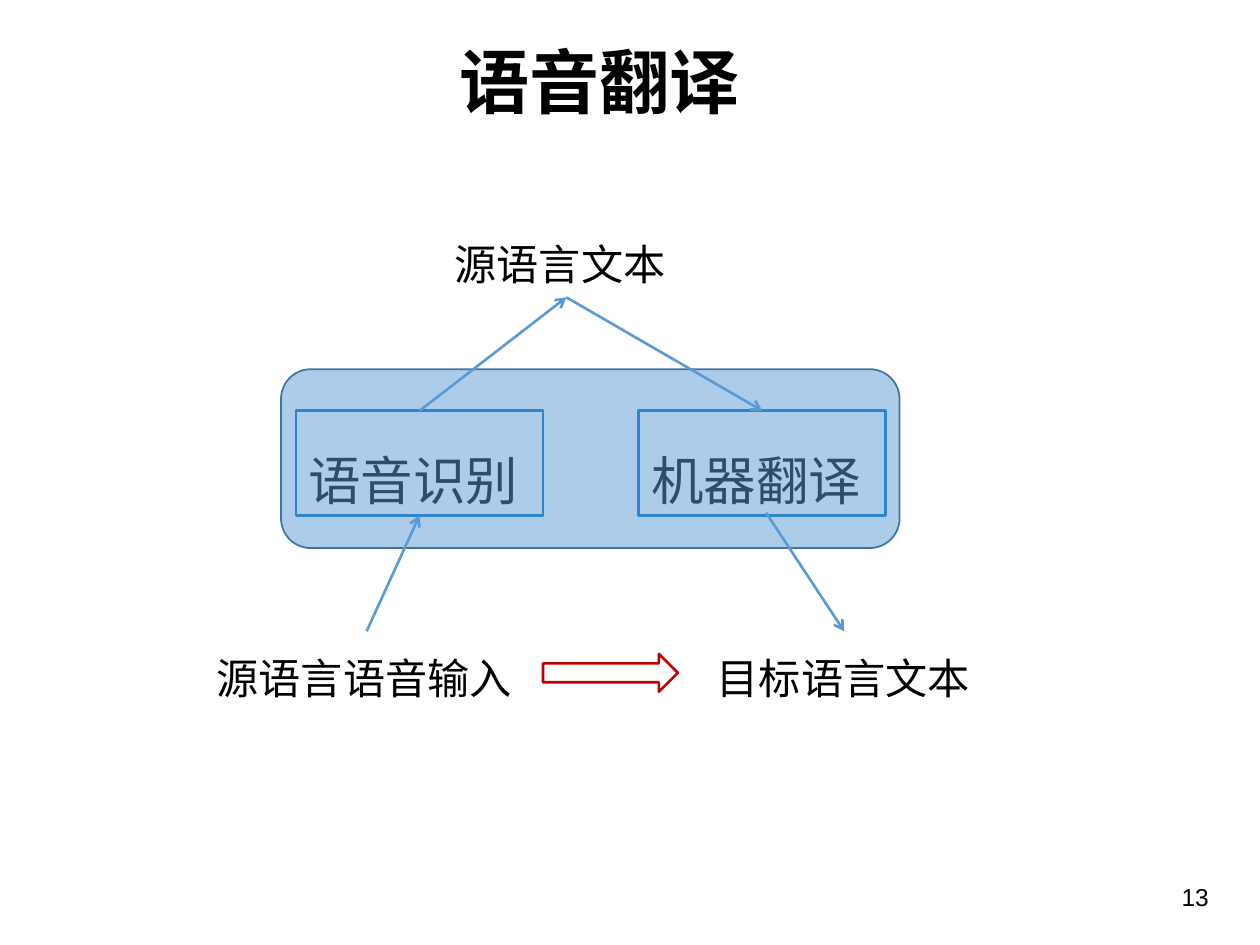
from lxml.etree import SubElement
from pptx import Presentation
from pptx.dml.color import RGBColor
from pptx.enum.shapes import MSO_CONNECTOR as Connector, MSO_SHAPE as Preset
from pptx.enum.text import MSO_ANCHOR as Anchor, PP_ALIGN as Align
from pptx.oxml.ns import qn
from pptx.util import Inches, Pt

# Content: text and box (left, top, width, height) in inches
TITLE = ("语音翻译", (0.57, 0.06, 8.37, 1.16))
PAGE_NUMBER = ("13", (9.28, 6.95, 0.57, 0.4))
MODULES = {
    "recognition": ("语音识别", (2.35, 3.26, 1.96, 0.83)),
    "translation": ("机器翻译", (5.07, 3.26, 1.96, 0.83)),
}
LABELS = {
    "speech input": ("源语言语音输入", (1.62, 5.01, 2.58, 0.64)),
    "source text": ("源语言文本", (3.51, 1.72, 1.97, 0.64)),
    "target text": ("目标语言文本", (5.59, 5.01, 2.22, 0.64)),
}
SYSTEM_PANEL = (2.23, 2.93, 4.91, 1.42)
RESULT_ARROW = (4.31, 5.19, 1.07, 0.3)

TOP, BOTTOM = 0, 2
# Each end is (part, side), or a free (x, y) point in inches
FLOWS = [
    (("speech input", TOP), ("recognition", BOTTOM)),
    (("recognition", TOP), ("source text", BOTTOM)),
    (("source text", BOTTOM), ("translation", TOP)),
    ((6.08, 4.07), ("target text", TOP)),
]

THEME = {
    "cjk": "Noto Sans CJK SC", "latin": "Arial",
    "text": "000000", "module": "0070C0", "flow": "5B9BD5",
    "panel": "5B9BD5", "panel line": "43739E", "result": "C00000",
    "title size": 40, "module size": 30, "label size": 24.1, "page size": 14,
    "stroke": 1.5, "thin stroke": 1,
}


def color(name):
    return RGBColor.from_string(THEME[name])


def write(shape, text, size, font="cjk", bold=False, align=Align.LEFT,
          anchor=Anchor.TOP, spacing=None, before=None):
    frame = shape.text_frame
    frame.word_wrap = True
    frame.vertical_anchor = anchor
    paragraph = frame.paragraphs[0]
    paragraph.alignment = align
    if spacing:
        paragraph.line_spacing = spacing
    if before:
        paragraph.space_before = Pt(before)
    run = paragraph.add_run()
    run.text = text
    run.font.size = Pt(THEME[size])
    run.font.bold = bold
    run.font.color.rgb = color("text")
    run.font.name = THEME[font]
    SubElement(run.font._element, qn("a:ea"), typeface=THEME[font])


def add_text(slide, text, box, **style):
    shape = slide.shapes.add_textbox(*map(Inches, box))
    write(shape, text, **style)
    return shape


def add_outline(slide, preset, box, line, stroke="stroke"):
    shape = slide.shapes.add_shape(preset, *map(Inches, box))
    shape.shadow.inherit = False
    shape.fill.background()
    shape.line.color.rgb = color(line)
    shape.line.width = Pt(THEME[stroke])
    return shape


def add_flow(slide, start, end, parts):
    connector = slide.shapes.add_connector(Connector.STRAIGHT, 0, 0, 0, 0)
    if start[0] in parts:
        connector.begin_connect(parts[start[0]], start[1])
    else:
        connector.begin_x, connector.begin_y = map(Inches, start)
    connector.end_connect(parts[end[0]], end[1])
    connector.line.color.rgb = color("flow")
    connector.line.width = Pt(THEME["stroke"])
    SubElement(connector.line._get_or_add_ln(), qn("a:tailEnd"), type="arrow")
    SubElement(connector._element.spPr, qn("a:effectLst"))


def main():
    presentation = Presentation()
    presentation.slide_width, presentation.slide_height = Inches(10), Inches(7.5)
    slide = presentation.slides.add_slide(presentation.slide_layouts[6])
    parts = {}

    # Title and page number
    add_text(slide, *TITLE, size="title size", bold=True,
             align=Align.CENTER, anchor=Anchor.MIDDLE)
    add_text(slide, *PAGE_NUMBER, size="page size", font="latin")

    # Modules, seen through the translucent system panel
    for name, (text, box) in MODULES.items():
        parts[name] = add_outline(slide, Preset.RECTANGLE, box, "module")
        write(parts[name], text, "module size", spacing=1.5, before=7.5)
    panel = add_outline(slide, Preset.ROUNDED_RECTANGLE, SYSTEM_PANEL,
                        "panel line", "thin stroke")
    panel.fill.solid()
    panel.fill.fore_color.rgb = color("panel")
    panel_color = panel._element.spPr.find(qn("a:solidFill"))[0]
    SubElement(panel_color, qn("a:alpha"), val="50000")

    # Inputs and outputs
    for name, (text, box) in LABELS.items():
        parts[name] = add_text(slide, text, box, size="label size",
                               spacing=1.3, before=7.5)

    # Flow between the parts, and the overall result
    for start, end in FLOWS:
        add_flow(slide, start, end, parts)
    add_outline(slide, Preset.RIGHT_ARROW, RESULT_ARROW, "result")

    presentation.save("out.pptx")


if __name__ == "__main__":
    main()
